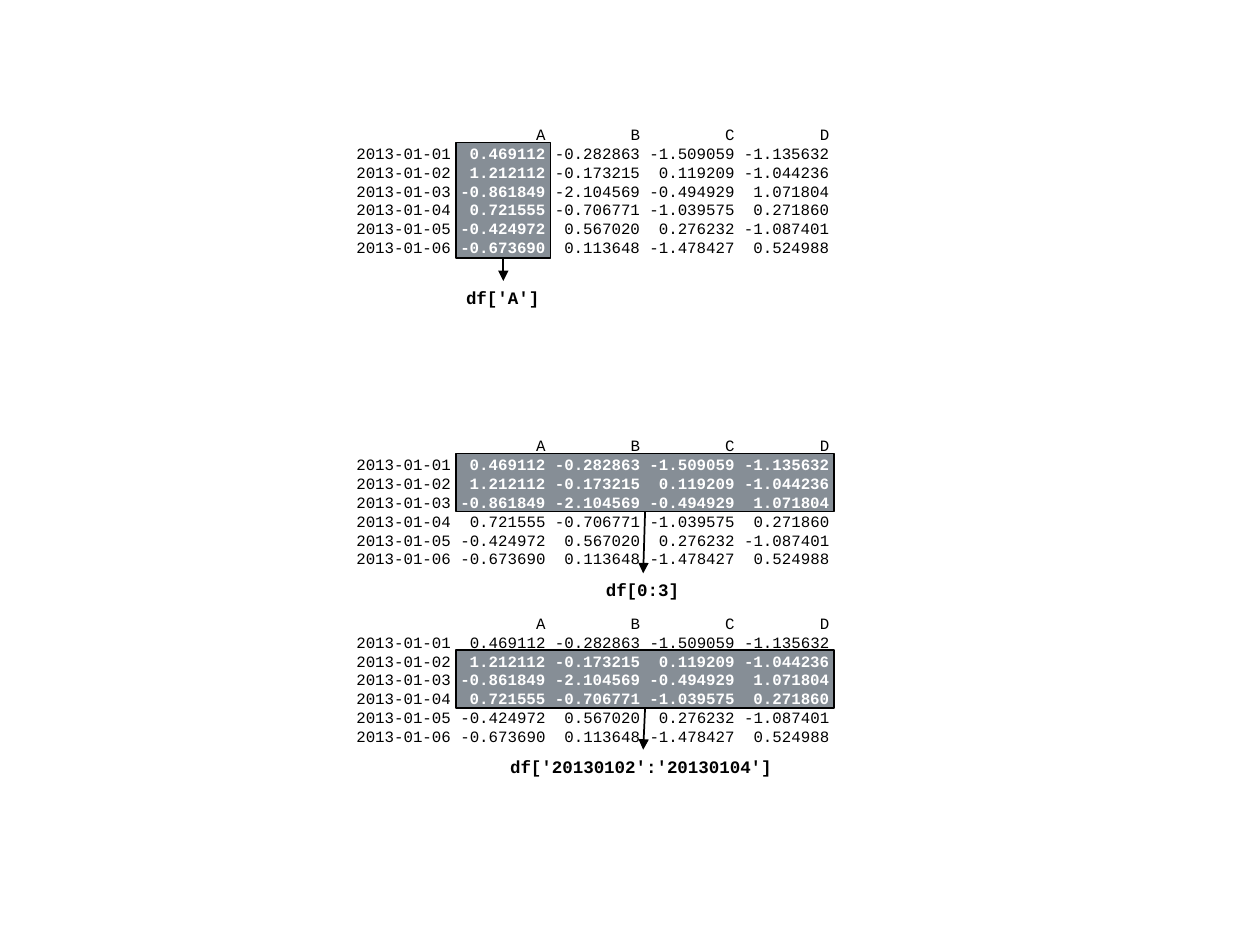
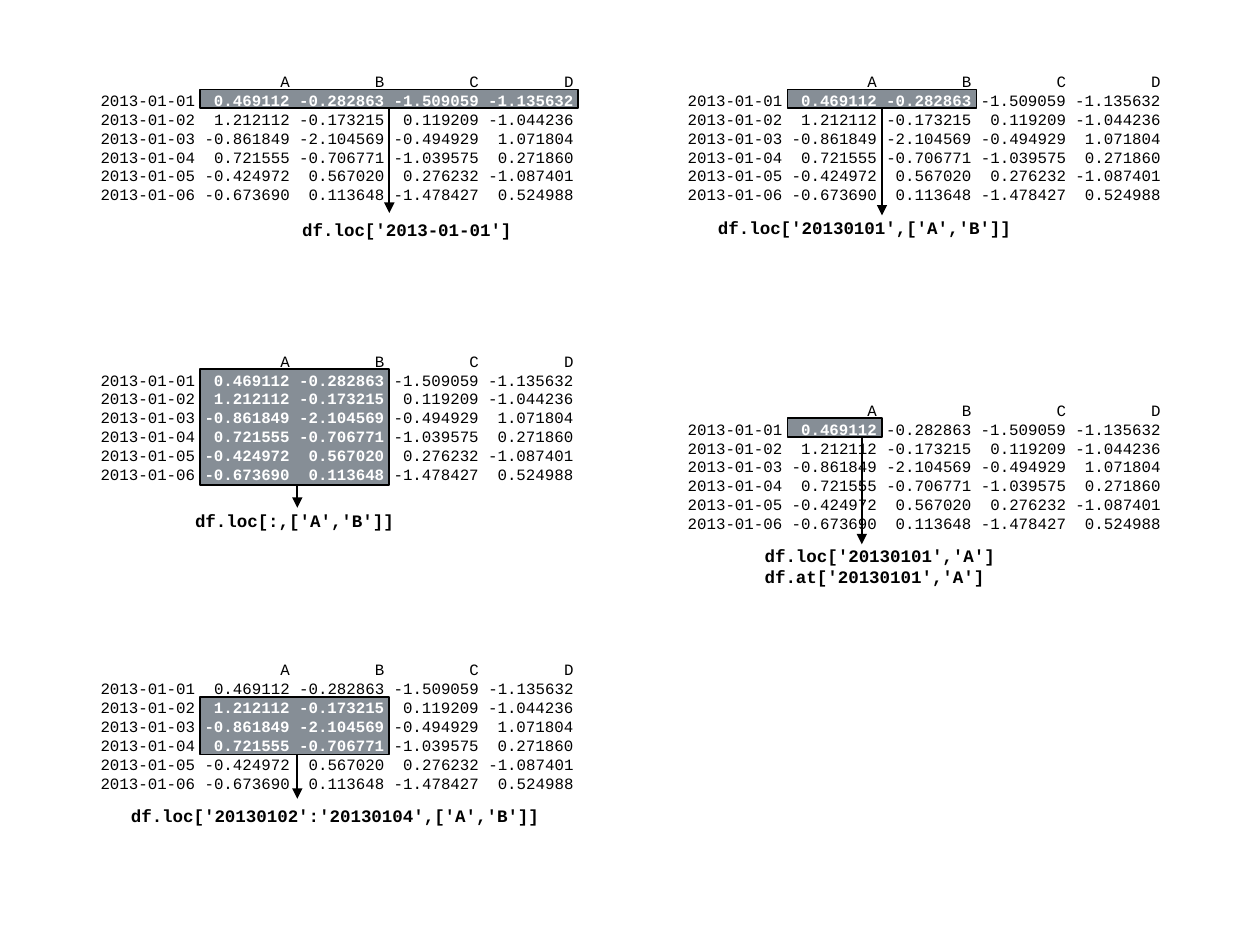
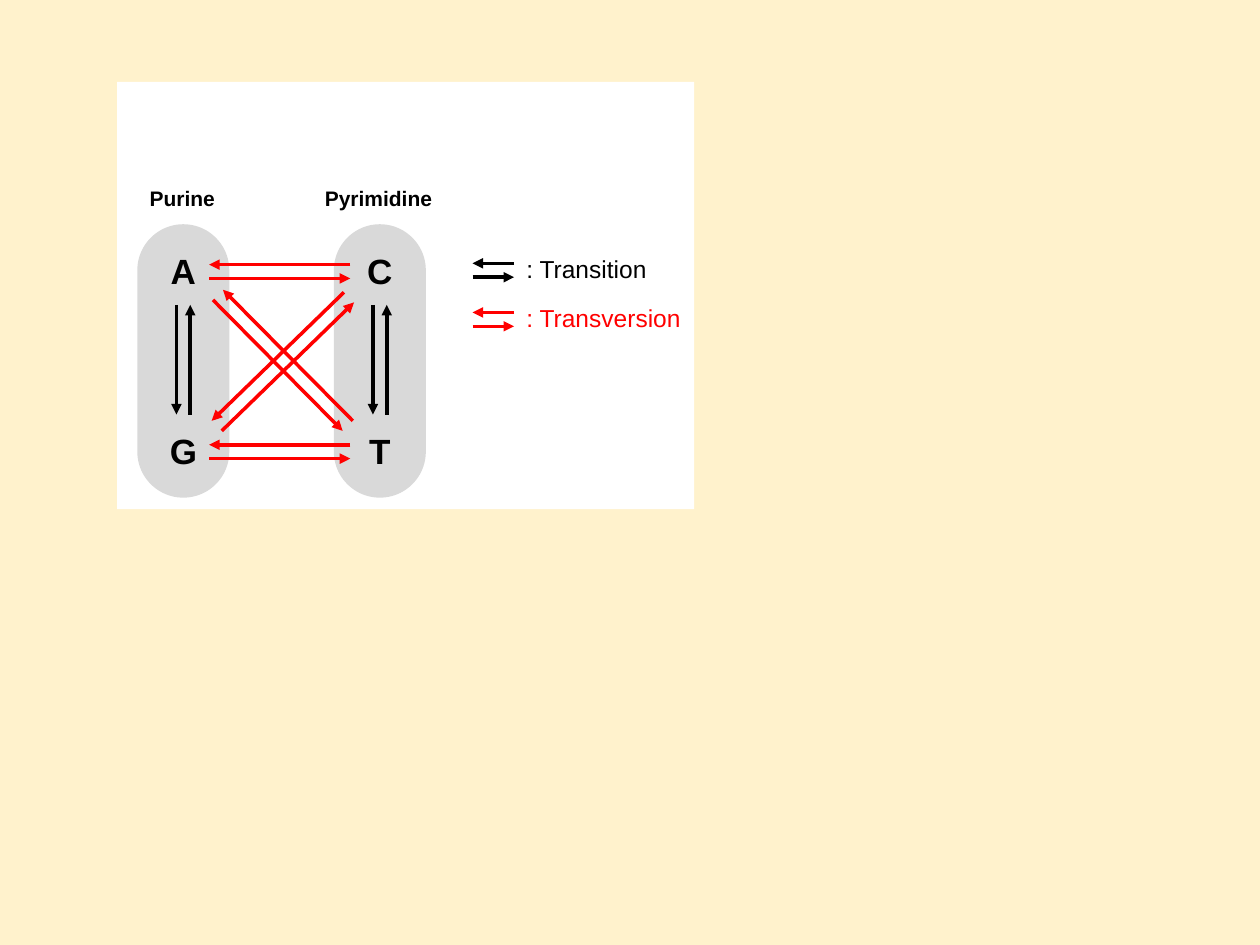
import pptx
import pptx.util
import pptx.dml.color
import pptx.enum.shapes
import pptx.enum.text
import pptx.oxml.ns
from lxml import etree

PX = 9144  # EMU per px, 100 px to the inch
BLACK = pptx.dml.color.RGBColor(0x00, 0x00, 0x00)
WHITE = pptx.dml.color.RGBColor(0xFF, 0xFF, 0xFF)
SLATE = pptx.dml.color.RGBColor(0x86, 0x8E, 0x96)
SILVER = pptx.dml.color.RGBColor(0xD9, 0xD9, 0xD9)
RED = pptx.dml.color.RGBColor(0xFF, 0x00, 0x00)
CREAM = pptx.dml.color.RGBColor(0xFF, 0xF2, 0xCC)
MONO = "Courier New"
SANS = "Arial"
RECT = pptx.enum.shapes.MSO_SHAPE.RECTANGLE
PILL = pptx.enum.shapes.MSO_SHAPE.ROUNDED_RECTANGLE
CENTER = pptx.enum.text.PP_ALIGN.CENTER

DATA = {
    "2013-01-01": ("0.469112", "-0.282863", "-1.509059", "-1.135632"),
    "2013-01-02": ("1.212112", "-0.173215", "0.119209", "-1.044236"),
    "2013-01-03": ("-0.861849", "-2.104569", "-0.494929", "1.071804"),
    "2013-01-04": ("0.721555", "-0.706771", "-1.039575", "0.271860"),
    "2013-01-05": ("-0.424972", "0.567020", "0.276232", "-1.087401"),
    "2013-01-06": ("-0.673690", "0.113648", "-1.478427", "0.524988"),
}
CELL = 10  # characters in a column of the data frame
FRAME_W, FRAME_H = 397, 116

# frame x, y, white back height, first and last row, columns,
# code, code place (x, y, w, h), arrow tip (x, y)
BASIC = (
    (273, 341, 0, 0, 3, 4, "df[0:3]", (471, 455, 79, 27), (511, 455)),
    (273, 482, 0, 1, 4, 4, "df['20130102':'20130104']",
     (395, 595, 231, 27), (511, 595)),
    (273, 94, 155, 0, 6, 1, "df['A']", (360, 223, 79, 27), (399, 223)),
)
LABEL = (
    (70, 52, 0, 0, 1, 4, "df.loc['2013-01-01']", (230, 169, 188, 27), (309, 169)),
    (70, 274, 153, 0, 6, 2, "df.loc[:,['A','B']]",
     (145, 400, 180, 27), (236, 403)),
    (70, 519, 142, 1, 4, 2, "df.loc['20130102':'20130104',['A','B']]",
     (94, 634, 348, 27), (236, 634)),
    (536, 52, 142, 0, 1, 2, "df.loc['20130101',['A','B']]",
     (560, 167, 256, 27), (700, 171)),
    (536, 313, 159, 0, 1, 1, "df.loc['20130101','A']\ndf.at['20130101','A']",
     (597, 428, 205, 44), (684, 432)),
)


def place(*sizes):
    return [size * PX for size in sizes]


def block(shapes, kind, at, fill, edge=None):
    shape = shapes.add_shape(kind, *place(*at))
    shape.shadow.inherit = False
    shape.fill.solid()
    shape.fill.fore_color.rgb = fill
    if edge is None:
        shape.line.fill.background()
    else:
        shape.line.color.rgb = edge
        shape.line.width = pptx.util.Pt(1)
    return shape


def text_box(shapes, at):
    box = shapes.add_textbox(*place(*at))
    box.text_frame.word_wrap = False
    box.text_frame.auto_size = pptx.enum.text.MSO_AUTO_SIZE.SHAPE_TO_FIT_TEXT
    return box


def style(run, face, size, color=BLACK, bold=False):
    run.font.name = face
    run.font.size = pptx.util.Pt(size)
    run.font.color.rgb = color
    run.font.bold = bold


def label(shapes, words, at, face, size, color=BLACK, bold=True, align=None):
    box = text_box(shapes, at)
    box.text_frame.text = words
    for para in box.text_frame.paragraphs:
        para.alignment = align
        if face == MONO:
            para.line_spacing = pptx.util.Pt(size * 1.2)
        for run in para.runs:
            style(run, face, size, color, bold)
    return box


def arrow(shapes, start, end, color, width):
    line = shapes.add_connector(
        pptx.enum.shapes.MSO_CONNECTOR.STRAIGHT, *place(*start, *end))
    line.line.color.rgb = color
    line.line.width = pptx.util.Pt(width)
    qn = pptx.oxml.ns.qn
    etree.SubElement(line.line._get_or_add_ln(), qn("a:tailEnd"), type="triangle")
    etree.SubElement(line._element.spPr, qn("a:effectLst"))
    return line


def meets(shape, point, side):
    """Tell whether point is the middle of the top (0) or bottom (2) side."""
    x = shape.left + shape.width / 2
    y = shape.top + shape.height * side / 2
    return all(abs(a - b) <= PX for a, b in zip(place(*point), (x, y)))


def grid(shapes, x, y, rows, cols):
    """Print the data frame, with the picked cells bold and white."""
    lines = [" " * CELL + "".join(name.rjust(CELL) for name in "ABCD")]
    for date, cells in DATA.items():
        lines.append(date + "".join(cell.rjust(CELL) for cell in cells))
    frame = text_box(shapes, (x, y, FRAME_W, FRAME_H)).text_frame
    left, right = CELL + 1, CELL * (cols + 1)
    for i, line in enumerate(lines):
        para = frame.paragraphs[0] if i == 0 else frame.add_paragraph()
        para.line_spacing = pptx.util.Pt(10.8)
        if i - 1 in rows:
            parts = (line[:left], line[left:right], line[right:])
        else:
            parts = (line,)
        for j, part in enumerate(parts):
            if part:
                run = para.add_run()
                run.text = part
                picked = j == 1
                style(run, MONO, 9, WHITE if picked else BLACK, picked)


def sample(slide, x, y, back, first, last, cols, code, at, tip):
    """Draw a data frame, the picked block and the code that picks it."""
    shapes = slide.shapes.add_group_shape().shapes
    if back:
        block(shapes, RECT, (x, y, FRAME_W, back), WHITE)
    top, high = y + 19 + 15 * first, 46 * (last - first) // 3
    pick = block(shapes, RECT, (x + 89, top, 75 * cols, high), SLATE, BLACK)
    grid(shapes, x, y, range(first, last), cols)
    note = label(shapes, code, at, MONO, 10)
    start = (tip[0], top + high)
    line = arrow(shapes, start, tip, BLACK, 1)
    if meets(pick, start, 2):
        line.begin_connect(pick, 2)
    if meets(note, tip, 0):
        line.end_connect(note, 0)


def bases(shapes, x, name, name_x, name_w, upper, lower):
    """Draw one class of bases with the arrows between its two letters."""
    pill = block(shapes, PILL, (x, 178, 73, 217), SILVER)
    pill.adjustments[0] = 0.5
    for letter, y in ((upper, 193), (lower, 336)):
        label(shapes, letter, (x + 16, y, 41, 44), SANS, 20, align=CENTER)
    arrow(shapes, (x + 31, 242), (x + 31, 329), BLACK, 2)
    arrow(shapes, (x + 42, 329), (x + 42, 242), BLACK, 2)
    label(shapes, name, (name_x, 142, name_w, 30), SANS, 12)


def swap(shapes, left, right, y, color):
    """Draw an arrow to the left and, below it, one to the right."""
    arrow(shapes, (right, y), (left, y), color, 2)
    arrow(shapes, (left, y + 11), (right, y + 11), color, 2)


def change(slide):
    slide.background.fill.solid()
    slide.background.fill.fore_color.rgb = CREAM
    shapes = slide.shapes.add_group_shape().shapes
    block(shapes, RECT, (93, 65, 458, 339), WHITE)
    bases(shapes, 109, "Purine", 109, 73, "A", "G")
    bases(shapes, 265, "Pyrimidine", 248, 106, "C", "T")
    for y in (353, 210):
        swap(shapes, 166, 278, y, RED)
    for start, end in (
        ((169, 238), (272, 342)),
        ((280, 334), (177, 230)),
        ((273, 232), (168, 334)),
        ((176, 342), (281, 240)),
    ):
        arrow(shapes, start, end, RED, 2)
    for words, y, wide, color in (
        (": Transition", 197, 116, BLACK),
        (": Transversion", 236, 143, RED),
    ):
        label(shapes, words, (408, y, wide, 34), SANS, 14, color, False)
        swap(shapes, 375, 408, y + 12, color)


def main():
    deck = pptx.Presentation()
    deck.slide_width, deck.slide_height = place(1000, 750)
    blank = deck.slide_layouts[6]
    for samples in (BASIC, LABEL):
        slide = deck.slides.add_slide(blank)
        for item in samples:
            sample(slide, *item)
    change(deck.slides.add_slide(blank))
    deck.save("out.pptx")


if __name__ == "__main__":
    main()
